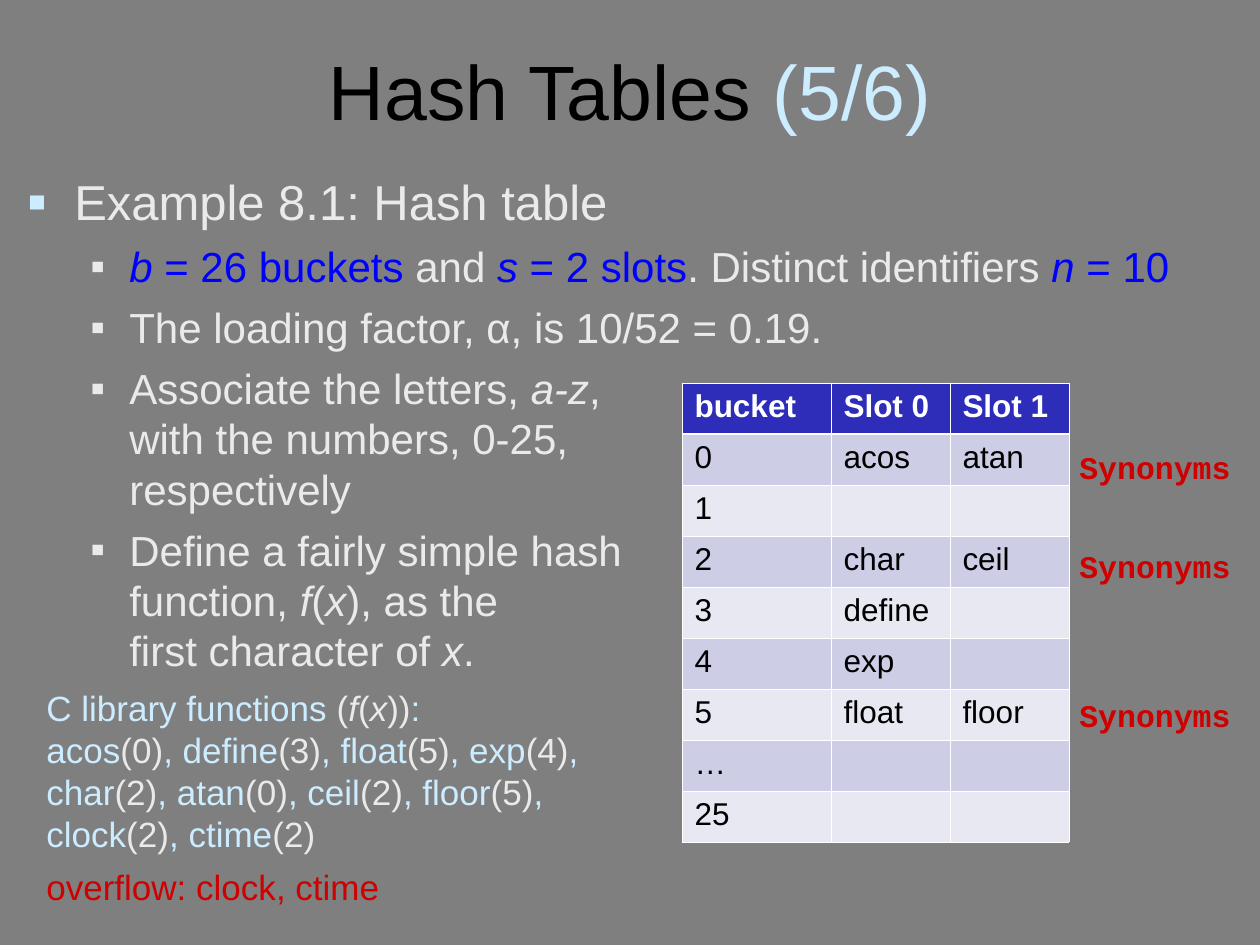
from lxml.etree import SubElement
from pptx import Presentation
from pptx.dml.color import RGBColor
from pptx.enum.text import MSO_ANCHOR, MSO_AUTO_SIZE, PP_ALIGN
from pptx.oxml.ns import qn
from pptx.util import Emu, Pt

BACKGROUND = RGBColor(0x7F, 0x7F, 0x7F)
BLACK = RGBColor(0x00, 0x00, 0x00)
WHITE = RGBColor(0xFF, 0xFF, 0xFF)
PALE = RGBColor(0xEA, 0xEA, 0xEA)
SKY = RGBColor(0xCC, 0xEC, 0xFF)
BLUE = RGBColor(0x00, 0x00, 0xFF)
RED = RGBColor(0xCE, 0x00, 0x00)
HEADER = RGBColor(0x2D, 0x2D, 0xB9)
BANDS = [RGBColor(0xCD, 0xCD, 0xE6), RGBColor(0xE8, 0xE8, 0xF3)]

SCALE = 914400 // 126


def px(length):
    return Emu(length * SCALE)


class SlideBuilder:
    font = "Arial"

    def __init__(self, presentation):
        self.slide = presentation.slides.add_slide(presentation.slide_layouts[5])
        fill = self.slide.background.fill
        fill.solid()
        fill.fore_color.rgb = BACKGROUND

    def runs(self, paragraph, pieces, size, font=None, bold=False):
        for text, color, *italic in pieces:
            for index, line in enumerate(text.split("\n")):
                if index:
                    paragraph.add_line_break()
                run = paragraph.add_run()
                run.text = line
                run.font.name = font or self.font
                run.font.size = Pt(size)
                run.font.bold = bold
                run.font.italic = bool(italic)
                run.font.color.rgb = color

    def title(self, left, top, width, height, pieces, size):
        shape = self.slide.shapes.title
        shape.left, shape.top = px(left), px(top)
        shape.width, shape.height = px(width), px(height)
        frame = shape.text_frame
        frame.auto_size = MSO_AUTO_SIZE.NONE
        frame.vertical_anchor = MSO_ANCHOR.MIDDLE
        frame.paragraphs[0].alignment = PP_ALIGN.CENTER
        self.runs(frame.paragraphs[0], pieces, size)

    def frame(self, left, top, width, height):
        shape = self.slide.shapes.add_textbox(px(left), px(top), px(width), px(height))
        shape.text_frame.word_wrap = True
        return shape.text_frame

    def label(self, left, top, width, height, pieces, size, font=None, bold=False):
        frame = self.frame(left, top, width, height)
        self.runs(frame.paragraphs[0], pieces, size, font, bold)

    def bullet(self, paragraph, margin, hanging, color, percent):
        properties = paragraph._p.get_or_add_pPr()
        properties.set("marL", str(px(margin)))
        properties.set("indent", str(-px(hanging)))
        bullet_color = SubElement(properties, qn("a:buClr"))
        SubElement(bullet_color, qn("a:srgbClr"), val=str(color))
        SubElement(properties, qn("a:buSzPct"), val=str(percent * 1000))
        SubElement(properties, qn("a:buFont"), typeface=self.font)
        SubElement(properties, qn("a:buChar"), char="▪")

    def outline(self, left, top, width, height, heading, points):
        frame = self.frame(left, top, width, height)
        paragraph = frame.paragraphs[0]
        self.bullet(paragraph, 47, 47, SKY, 115)
        self.runs(paragraph, heading, 28)
        for pieces in points:
            paragraph = frame.add_paragraph()
            paragraph.level = 1
            paragraph.space_before = Pt(6)
            self.bullet(paragraph, 102, 39, PALE, 100)
            self.runs(paragraph, pieces, 24)

    def border(self, cell, widths):
        properties = cell._tc.get_or_add_tcPr()
        for index, (side, width) in enumerate(widths.items()):
            line = properties.makeelement(qn(f"a:{side}"), {"w": str(Pt(width))})
            fill = SubElement(line, qn("a:solidFill"))
            SubElement(fill, qn("a:srgbClr"), val=str(WHITE))
            properties.insert(index, line)

    def table(self, left, top, columns, row_height, rows):
        shape = self.slide.shapes.add_table(
            len(rows), len(columns), px(left), px(top),
            px(sum(columns)), px(row_height * len(rows)))
        table = shape.table
        table.horz_banding = False
        for column, width in zip(table.columns, columns):
            column.width = px(width)
        for row_index, values in enumerate(rows):
            table.rows[row_index].height = px(row_height)
            header = row_index == 0
            widths = {"lnL": 0.45, "lnR": 0.45,
                      "lnT": 1.47 if row_index == 1 else 0.45,
                      "lnB": 1.47 if header else 0.45}
            for column_index, value in enumerate(values):
                cell = table.cell(row_index, column_index)
                cell.fill.solid()
                cell.fill.fore_color.rgb = HEADER if header else BANDS[(row_index - 1) % 2]
                self.border(cell, widths)
                if value:
                    color = WHITE if header else BLACK
                    self.runs(cell.text_frame.paragraphs[0], [(value, color)], 18, bold=header)


def main():
    presentation = Presentation()
    presentation.slide_width, presentation.slide_height = px(1260), px(945)
    builder = SlideBuilder(presentation)

    builder.title(63, 35, 1134, 110, [("Hash Tables ", BLACK), ("(5/6)", SKY)], 44)

    builder.outline(15, 165, 1226, 517, [("Example 8.1: Hash table", PALE)], [
        [("b ", BLUE, True), ("= 26 buckets ", BLUE), ("and ", PALE),
         ("s", BLUE, True), (" = 2 slots", BLUE), (". Distinct identifiers ", PALE),
         ("n", BLUE, True), (" = 10", BLUE)],
        [("The loading factor, α, is 10/52 = 0.19.", PALE)],
        [("Associate the letters, ", PALE), ("a-z", PALE, True),
         (", \nwith the numbers, 0-25, \nrespectively", PALE)],
        [("Define a fairly simple hash \nfunction, ", PALE), ("f", PALE, True),
         ("(", PALE), ("x", PALE, True), ("), as the \nfirst character of ", PALE),
         ("x", PALE, True), (".", PALE)],
    ])

    functions = [("acos", 0), ("define", 3), ("float", 5), ("exp", 4), ("char", 2),
                 ("atan", 0), ("ceil", 2), ("floor", 5), ("clock", 2), ("ctime", 2)]
    library = [("C library functions ", SKY), ("(", PALE), ("f", PALE, True),
               ("(", PALE), ("x", PALE, True), ("))", PALE)]
    separator = ": \n"
    for name, bucket in functions:
        library += [(separator + name, SKY), (f"({bucket})", PALE)]
        separator = ", "
    builder.label(34, 680, 566, 181, library, 20)
    builder.label(34, 859, 367, 55, [("overflow: clock, ctime", RED)], 20)

    for top in (442, 541, 690):
        builder.label(1067, top, 179, 88, [("Synonyms", RED)], 18, "Courier New", True)

    builder.table(682, 383, [149, 119, 119], 51, [
        ("bucket", "Slot 0", "Slot 1"),
        ("0", "acos", "atan"),
        ("1", "", ""),
        ("2", "char", "ceil"),
        ("3", "define", ""),
        ("4", "exp", ""),
        ("5", "float", "floor"),
        ("…", "", ""),
        ("25", "", ""),
    ])
    presentation.save("out.pptx")


if __name__ == "__main__":
    main()
